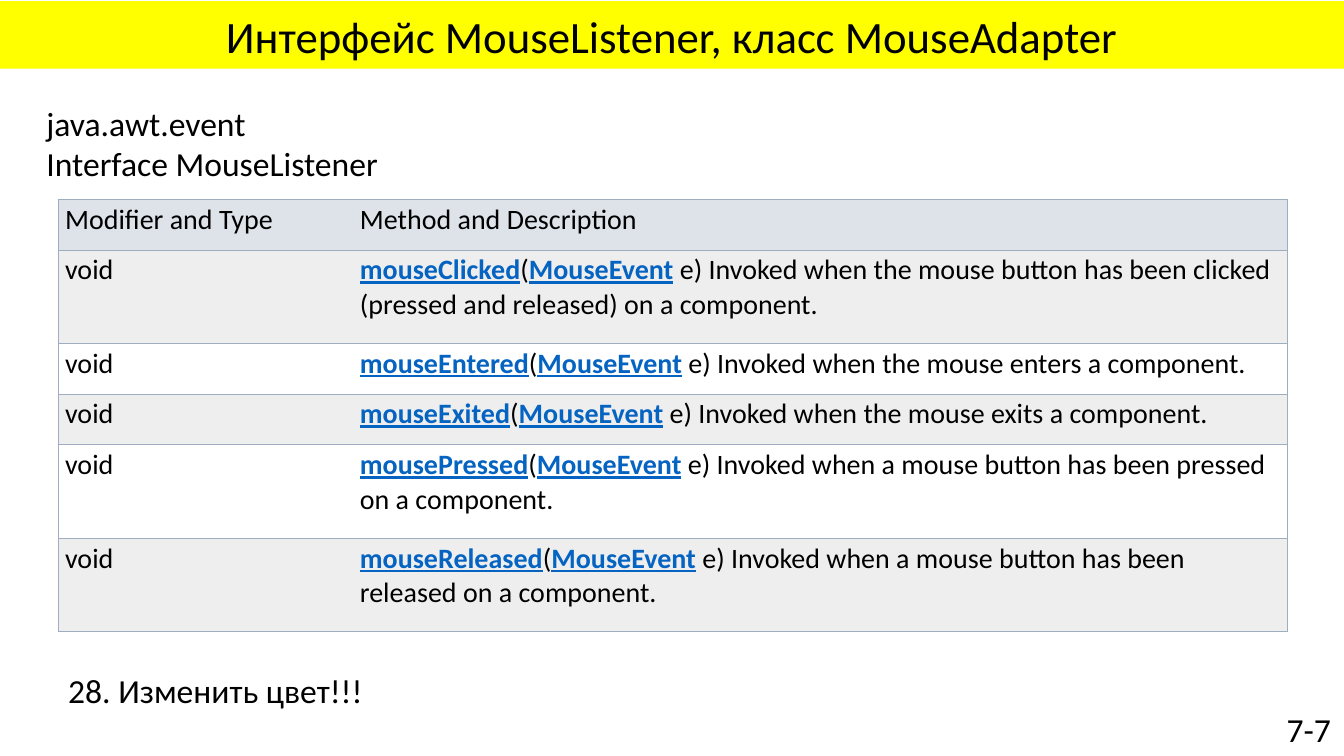
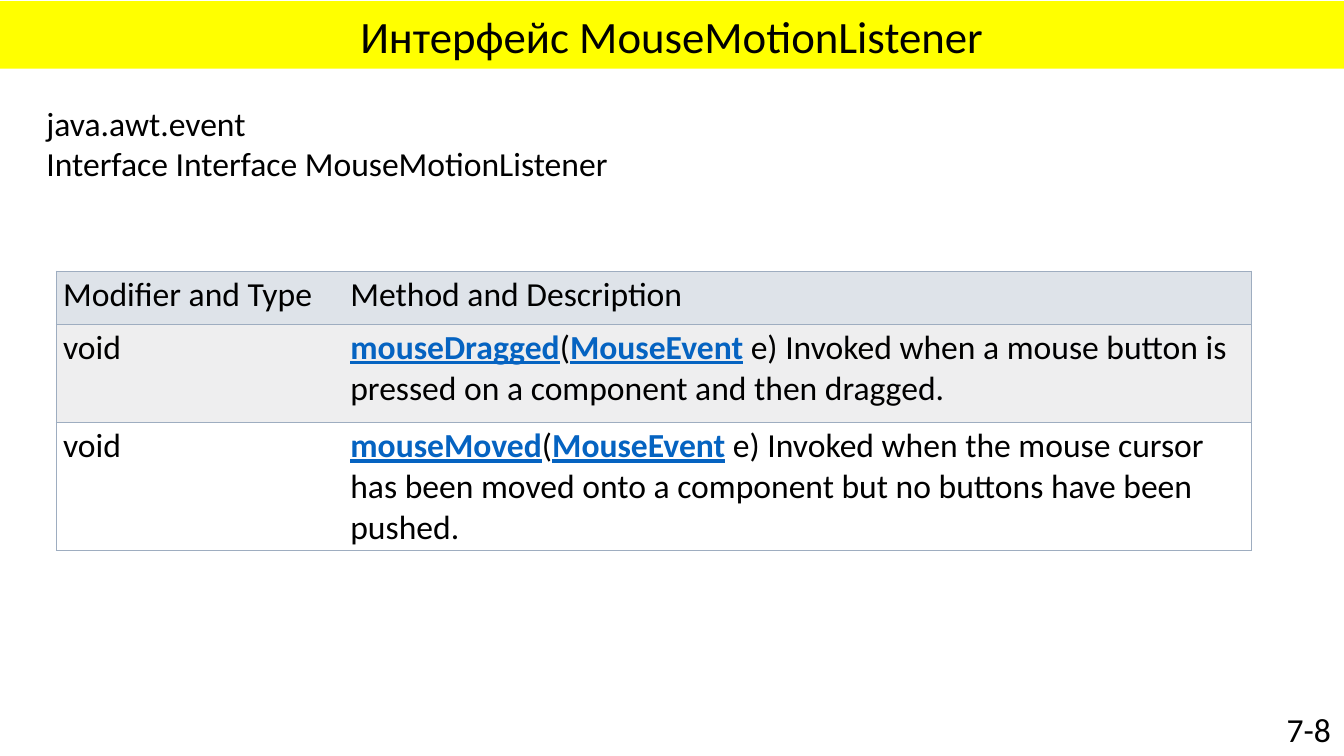
from lxml import etree
from pptx import Presentation
from pptx.dml.color import RGBColor
from pptx.enum.text import MSO_ANCHOR, MSO_AUTO_SIZE, PP_ALIGN
from pptx.oxml.ns import qn
from pptx.util import Cm, Pt

LEFT, CENTER, RIGHT = PP_ALIGN.LEFT, PP_ALIGN.CENTER, PP_ALIGN.RIGHT
TOP, BOTTOM = MSO_ANCHOR.TOP, MSO_ANCHOR.BOTTOM
NO_AUTOFIT = MSO_AUTO_SIZE.NONE

FONT = "Calibri"
TITLE_SIZE, TEXT_SIZE = 32, 24
TITLE_ONLY_LAYOUT = 5
SLIDE_WIDTH, SLIDE_HEIGHT = Cm(33.87), Cm(19.05)
COLORS = {
    "text": "000000",
    "link": "0563C1",
    "title_band": "FFFF00",
    "header_row": "DEE3E9",
    "odd_row": "EEEEEF",
    "even_row": "FFFFFF",
    "border": "9EADC0",
}
CELL_FORMAT = {
    "margin_left": Cm(0.17),
    "margin_right": Cm(0.08),
    "margin_top": Cm(0.08),
    "margin_bottom": Cm(0.08),
    "vertical_anchor": TOP,
}
BORDER_WIDTH = Pt(0.75)
TABLE_HEADINGS = ("Modifier and Type", "Method and Description")

MOUSE_METHODS = [
    ("mouseClicked", "Invoked when the mouse button has been clicked "
                     "(pressed and released) on a component."),
    ("mouseEntered", "Invoked when the mouse enters a component."),
    ("mouseExited", "Invoked when the mouse exits a component."),
    ("mousePressed", "Invoked when a mouse button has been pressed on a component."),
    ("mouseReleased", "Invoked when a mouse button has been released on a component."),
]
MOTION_METHODS = [
    ("mouseDragged", "Invoked when a mouse button is pressed on a component "
                     "and then dragged."),
    ("mouseMoved", "Invoked when the mouse cursor has been moved onto a component "
                   "but no buttons have been pushed."),
]


def color(name):
    return RGBColor.from_string(COLORS[name])


def add_run(paragraph, text, size, link=False):
    run = paragraph.add_run()
    run.text = text
    font_format = {"name": FONT, "size": Pt(size), "bold": link, "underline": link}
    for attribute, value in font_format.items():
        setattr(run.font, attribute, value)
    run.font.color.rgb = color("link" if link else "text")


def add_title(slide, text):
    title = slide.shapes.title
    title.left, title.top, title.width, title.height = 0, Cm(0.03), SLIDE_WIDTH, Cm(1.7)
    title.fill.solid()
    title.fill.fore_color.rgb = color("title_band")
    frame = title.text_frame
    frame.auto_size = NO_AUTOFIT
    frame.vertical_anchor = BOTTOM
    heading = frame.paragraphs[0]
    heading.alignment = CENTER
    heading.line_spacing = 0.9
    add_run(heading, text, TITLE_SIZE)


def add_text(slide, lines, left, top, width, height, alignment=LEFT):
    box = slide.shapes.add_textbox(Cm(left), Cm(top), Cm(width), Cm(height))
    frame = box.text_frame
    frame.word_wrap = True
    for index, line in enumerate(lines):
        paragraph = frame.add_paragraph() if index else frame.paragraphs[0]
        paragraph.alignment = alignment
        add_run(paragraph, line, TEXT_SIZE)


def set_borders(cell, open_side):
    """Draw every side of the cell except the one shared with its neighbour."""
    properties = cell._tc.get_or_add_tcPr()
    for position, side in enumerate(("lnL", "lnR", "lnT", "lnB")):
        line = etree.Element(qn(f"a:{side}"), w=str(BORDER_WIDTH))
        if side == open_side:
            etree.SubElement(line, qn("a:noFill"))
        else:
            fill = etree.SubElement(line, qn("a:solidFill"))
            etree.SubElement(fill, qn("a:srgbClr"), val=COLORS["border"])
        properties.insert(position, line)


def format_cell(cell, fill_name, open_side):
    for attribute, value in CELL_FORMAT.items():
        setattr(cell, attribute, value)
    cell.fill.solid()
    cell.fill.fore_color.rgb = color(fill_name)
    set_borders(cell, open_side)


def add_method_table(slide, methods, left, top, widths, heights, size):
    table = slide.shapes.add_table(
        len(heights), len(widths), Cm(left), Cm(top), Cm(sum(widths)), Cm(sum(heights))
    ).table
    table.first_row = table.horz_banding = False
    for column, width in zip(table.columns, widths):
        column.width = Cm(width)
    for index, (row, height) in enumerate(zip(table.rows, heights)):
        row.height = Cm(height)
        band = "odd_row" if index % 2 else "even_row"
        for cell, open_side in zip(row.cells, ("lnR", "lnL")):
            format_cell(cell, band if index else "header_row", open_side)

    # Heading row
    for column, heading in enumerate(TABLE_HEADINGS):
        add_run(table.cell(0, column).text_frame.paragraphs[0], heading, size)

    # One row for each method
    for row, (method, description) in enumerate(methods, start=1):
        add_run(table.cell(row, 0).text_frame.paragraphs[0], "void", size)
        signature = table.cell(row, 1).text_frame.paragraphs[0]
        add_run(signature, method, size, link=True)
        add_run(signature, "(", size)
        add_run(signature, "MouseEvent", size, link=True)
        add_run(signature, f" e) {description}", size)


def add_interface_slide(presentation, title, page, interface):
    slide = presentation.slides.add_slide(presentation.slide_layouts[TITLE_ONLY_LAYOUT])
    add_title(slide, title)
    add_text(slide, [page], 29.29, 17.73, 4.5, 1.27, RIGHT)
    add_text(slide, ["java.awt.event", interface], 0.92, 2.46, 32.23, 2.31)
    return slide


def main():
    presentation = Presentation()
    presentation.slide_width, presentation.slide_height = SLIDE_WIDTH, SLIDE_HEIGHT

    # MouseListener
    listener = add_interface_slide(
        presentation, "Интерфейс MouseListener, класс MouseAdapter", "7-7",
        "Interface MouseListener")
    one_line, two_lines = 1.28, 2.35
    add_method_table(
        listener, MOUSE_METHODS, 1.47, 5.02, (7.43, 23.54),
        (one_line, two_lines, one_line, one_line, two_lines, two_lines), size=20)
    add_text(listener, ["28. Изменить цвет!!!"], 1.47, 16.76, 21.59, 1.27)

    # MouseMotionListener
    motion = add_interface_slide(
        presentation, "Интерфейс MouseMotionListener", "7-8",
        "Interface Interface MouseMotionListener")
    add_method_table(
        motion, MOTION_METHODS, 1.42, 6.83, (7.24, 22.89), (1.34, 2.48, 3.2), size=24)

    presentation.save("out.pptx")


if __name__ == "__main__":
    main()
